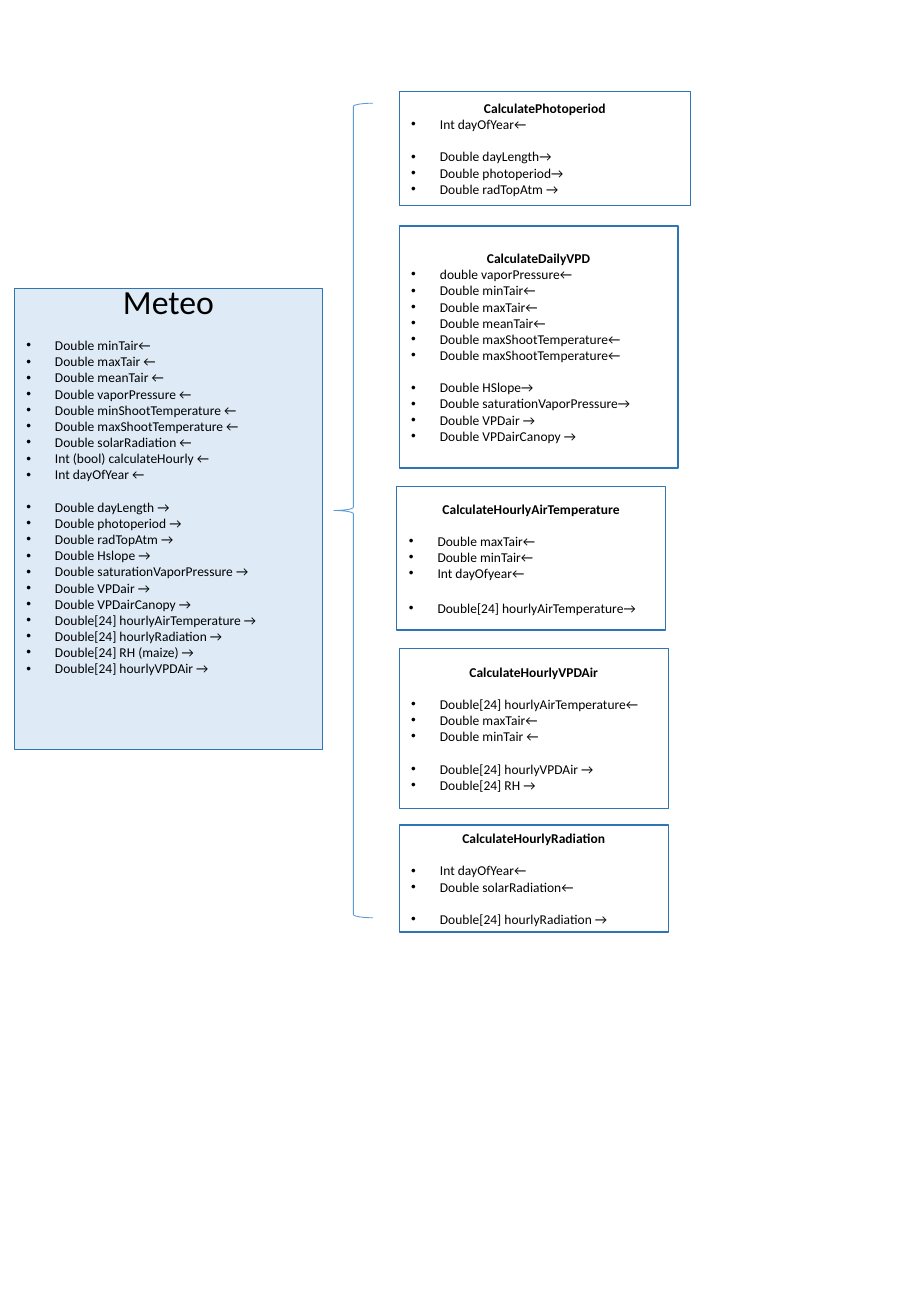
from dataclasses import dataclass

from lxml.etree import SubElement
from pptx import Presentation
from pptx.dml.color import RGBColor
from pptx.enum.shapes import MSO_SHAPE
from pptx.enum.text import MSO_ANCHOR, PP_ALIGN
from pptx.oxml.ns import qn
from pptx.slide import Slide
from pptx.text.text import TextFrame, _Paragraph
from pptx.util import Cm, Pt

HEX = {"text": "000000", "edge": "2E75B6", "brace": "5B9BD5", "pale": "DEEBF7"}
FONT = "Calibri"
SIZE = 8
LINE = 9.6
HANG = Cm(0.6)


@dataclass
class Box:
    head: str
    left: float
    top: float
    width: float
    height: float
    reads: list[str]
    gives: list[str]
    lead: float = LINE
    gap: float = LINE
    size: int = SIZE
    bold: bool = True
    fill: str = ""
    base: float = 0.13


BOXES = [
    Box("Meteo", 0.3, 6.04, 6.45, 9.64,
        ["Double minTair←", "Double maxTair ←", "Double meanTair ←",
         "Double vaporPressure ←", "Double minShootTemperature ←",
         "Double maxShootTemperature ←", "Double solarRadiation ←",
         "Int (bool) calculateHourly ←", "Int dayOfYear ←"],
        ["Double dayLength →", "Double photoperiod →", "Double radTopAtm →",
         "Double Hslope →", "Double saturationVaporPressure →",
         "Double VPDair →", "Double VPDairCanopy →",
         "Double[24] hourlyAirTemperature →", "Double[24] hourlyRadiation →",
         "Double[24] RH (maize) →", "Double[24] hourlyVPDAir →"],
        size=20, bold=False, fill="pale", base=1.83),
    Box("CalculatePhotoperiod", 8.35, 1.91, 6.09, 2.39,
        ["Int dayOfYear←"],
        ["Double dayLength→", "Double photoperiod→", "Double radTopAtm →"],
        lead=0),
    Box("CalculateDailyVPD", 8.35, 4.73, 5.83, 5.06,
        ["double vaporPressure←", "Double minTair←", "Double maxTair←",
         "Double meanTair←", "Double maxShootTemperature←",
         "Double maxShootTemperature←"],
        ["Double HSlope→", "Double saturationVaporPressure→",
         "Double VPDair →", "Double VPDairCanopy →"],
        lead=0),
    Box("CalculateHourlyAirTemperature", 8.3, 10.18, 5.62, 3,
        ["Double maxTair←", "Double minTair←", "Int dayOfyear←"],
        ["Double[24] hourlyAirTemperature→"],
        gap=11),
    Box("CalculateHourlyVPDAir", 8.35, 13.56, 5.63, 3.35,
        ["Double[24] hourlyAirTemperature←", "Double maxTair←", "Double minTair ←"],
        ["Double[24] hourlyVPDAir →", "Double[24] RH →"]),
    Box("CalculateHourlyRadiation", 8.35, 17.26, 5.63, 2.24,
        ["Int dayOfYear←", "Double solarRadiation←"],
        ["Double[24] hourlyRadiation →"]),
]


def color(name: str) -> RGBColor:
    return RGBColor.from_string(HEX[name])


def style(para: _Paragraph, size: int, bold: bool) -> None:
    font = para.font
    font.name, font.size, font.bold = FONT, Pt(size), bold
    font.color.rgb = color("text")


def add_list(frame: TextFrame, items: list[str], gap: float) -> None:
    for rank, item in enumerate(items):
        para = frame.add_paragraph()
        para.text = item
        para.alignment = PP_ALIGN.LEFT
        para.space_before = Pt(0 if rank else gap)
        props = para._p.get_or_add_pPr()
        props.set("marL", str(HANG))
        props.set("indent", str(-HANG))
        SubElement(props, qn("a:buFont"), typeface="Arial")
        SubElement(props, qn("a:buChar"), char="•")
        style(para, SIZE, False)


def add_box(slide: Slide, box: Box) -> None:
    shape = slide.shapes.add_shape(
        MSO_SHAPE.RECTANGLE, Cm(box.left), Cm(box.top), Cm(box.width), Cm(box.height))
    shape.shadow.inherit = False
    if box.fill:
        shape.fill.solid()
        shape.fill.fore_color.rgb = color(box.fill)
    else:
        shape.fill.background()
    shape.line.color.rgb = color("edge")
    shape.line.width = Pt(0.75)
    frame = shape.text_frame
    frame.word_wrap = True
    frame.vertical_anchor = MSO_ANCHOR.MIDDLE
    frame.margin_left = frame.margin_right = Cm(0.25)
    frame.margin_top, frame.margin_bottom = Cm(0.13), Cm(box.base)
    head = frame.paragraphs[0]
    head.text = box.head
    head.alignment = PP_ALIGN.CENTER
    style(head, box.size, box.bold)
    add_list(frame, box.reads, box.lead)
    add_list(frame, box.gives, box.gap)


def add_brace(slide: Slide) -> None:
    brace = slide.shapes.add_shape(
        MSO_SHAPE.LEFT_BRACE, Cm(6.98), Cm(2.16), Cm(0.82), Cm(17.04))
    brace.shadow.inherit = False
    brace.fill.background()
    brace.line.color.rgb = color("brace")
    brace.line.width = Pt(0.5)


def main() -> None:
    deck = Presentation()
    deck.slide_width, deck.slide_height = Cm(19.05), Cm(27.53)
    slide = deck.slides.add_slide(deck.slide_layouts[6])
    for box in BOXES:
        add_box(slide, box)
    add_brace(slide)
    deck.save("out.pptx")


if __name__ == "__main__":
    main()
